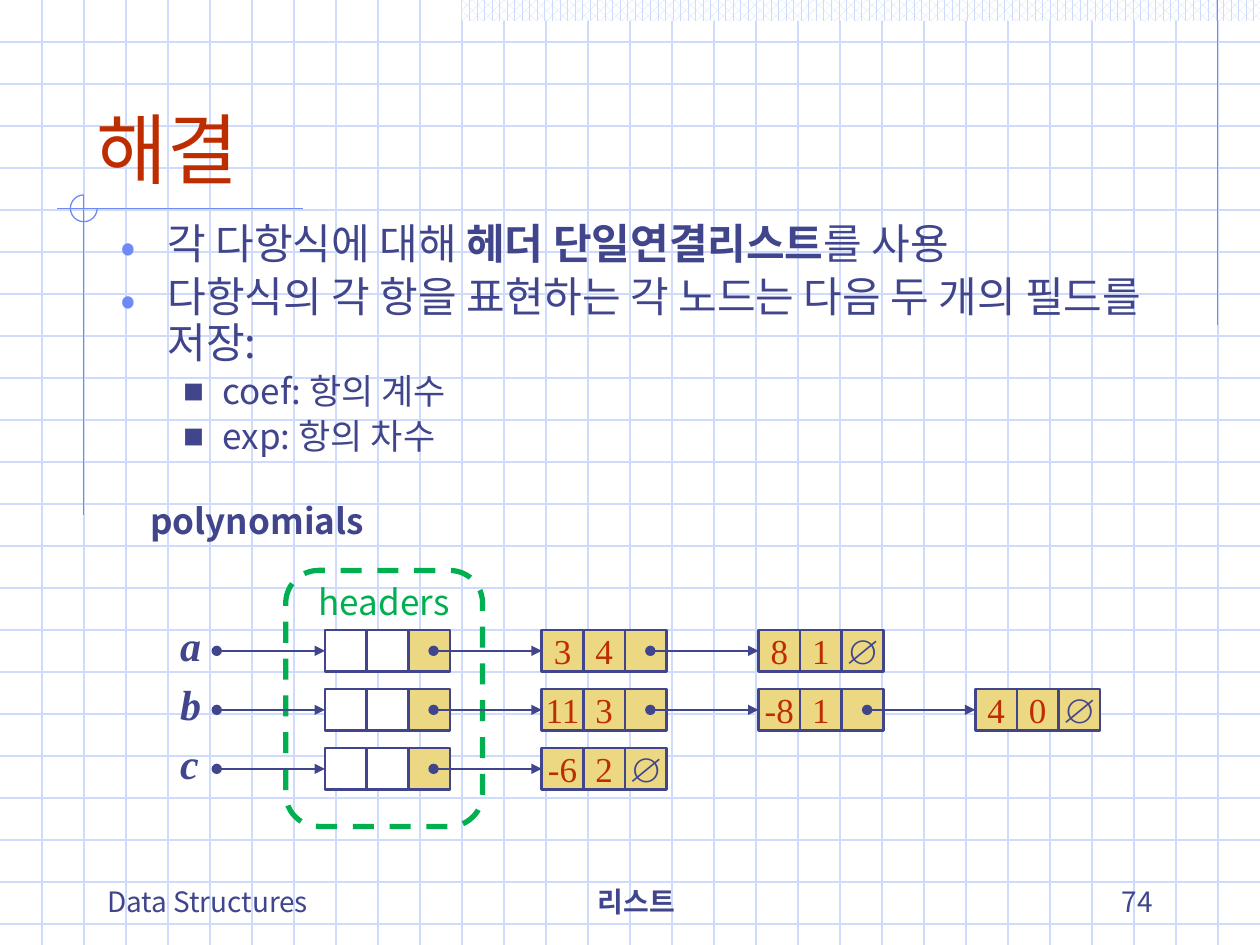
from lxml import etree
from pptx import Presentation
from pptx import util as u
from pptx.dml.color import RGBColor
from pptx.enum import dml, shapes, text
from pptx.oxml import ns

NAVY, RED, GREEN, BLUE = "40458C", "BE2D00", "00B050", "6F89F7"
PALE, SAND, WHITE = "CFDBFD", "ECD882", "FFFFFF"
SANS, SERIF = "Noto Sans CJK KR", "Times New Roman"
WIDTH, HEIGHT = 25.4, 19.05
GRID = WIDTH / 30
CELL, NODE_STEP, ROW_STEP = 0.84, 4.37, 1.19
NODE_LEFT, NODE_TOP, LINK = 6.55, 12.7, 2.18
NULL = "∅"

LISTS = {
    "a": [("3", "4", ""), ("8", "1", NULL)],
    "b": [("11", "3", ""), ("-8", "1", ""), ("4", "0", NULL)],
    "c": [("-6", "2", NULL)],
}
BULLETS = [
    (0, [("각 다항식에 대해 ", False), ("헤더 단일연결리스트", True), ("를 사용", False)]),
    (0, [("다항식의 각 항을 표현하는 각 노드는 다음 두 개의 필드를 저장:", False)]),
    (1, [("coef: 항의 계수", False)]),
    (1, [("exp: 항의 차수", False)]),
]
# Per level: mark, mark colour, mark size %, left, hanging, text size
LEVELS = [("•", BLUE, 110, 0.95, 0.95, 24), ("■", NAVY, 60, 2.06, 0.79, 20)]
ALIGN, ANCHOR = text.PP_ALIGN, text.MSO_ANCHOR


def colour(value):
    return RGBColor.from_string(value)


def add_element(parent, tag, **attributes):
    return etree.SubElement(parent, ns.qn(f"a:{tag}"), attributes)


class Canvas:
    """Holds the slide and the shared style."""

    def __init__(self, slide):
        self.slide = slide

    def style(self, paragraph, size, tint=NAVY, font=SANS, bold=None, italic=None):
        paragraph.font.size = u.Pt(size)
        paragraph.font.color.rgb = colour(tint)
        paragraph.font.bold = bold
        paragraph.font.italic = italic
        paragraph.font.name = font
        add_element(paragraph._p.pPr.find(ns.qn("a:defRPr")), "ea", typeface=font)

    def fill_text(self, shape, words, size, align=ALIGN.LEFT, anchor=ANCHOR.MIDDLE,
                  wrap=False, side=0, edge=0, **style):
        frame = shape.text_frame
        frame.word_wrap = wrap
        frame.vertical_anchor = anchor
        frame.margin_left = frame.margin_right = u.Cm(side)
        frame.margin_top = frame.margin_bottom = u.Cm(edge)
        paragraph = frame.paragraphs[0]
        paragraph.text = words
        paragraph.alignment = align
        self.style(paragraph, size, **style)

    def box(self, left, top, width, height):
        return self.slide.shapes.add_textbox(*map(u.Cm, (left, top, width, height)))

    def label(self, words, left, top, width, height, size, **options):
        settings = {"wrap": True, "side": 0.25, "edge": 0.13, **options}
        self.fill_text(self.box(left, top, width, height), words, size, **settings)

    def bullets(self, items, left, top, width, height):
        frame = self.box(left, top, width, height).text_frame
        frame.word_wrap = True
        for index, (level, runs) in enumerate(items):
            mark, tint, percent, indent, hanging, size = LEVELS[level]
            paragraph = frame.add_paragraph() if index else frame.paragraphs[0]
            paragraph.level = level
            paragraph.line_spacing = 0.9
            if index:
                paragraph.space_before = u.Pt(size * 0.2)
            properties = paragraph._p.get_or_add_pPr()
            properties.set("marL", str(u.Cm(indent)))
            properties.set("indent", str(-u.Cm(hanging)))
            add_element(add_element(properties, "buClr"), "srgbClr", val=tint)
            add_element(properties, "buSzPct", val=str(percent * 1000))
            add_element(properties, "buFont", typeface=SANS)
            add_element(properties, "buChar", char=mark)
            self.style(paragraph, size)
            for words, bold in runs:
                run = paragraph.add_run()
                run.text = words
                if bold:
                    run.font.bold = True

    def shape(self, kind, left, top, width, height, fill=None, line=None, weight=1.5):
        shape = self.slide.shapes.add_shape(kind, *map(u.Cm, (left, top, width, height)))
        shape.shadow.inherit = False
        if fill:
            shape.fill.solid()
            shape.fill.fore_color.rgb = colour(fill)
        else:
            shape.fill.background()
        if line:
            shape.line.color.rgb = colour(line)
            shape.line.width = u.Pt(weight)
        else:
            shape.line.fill.background()
        return shape

    def line(self, x1, y1, x2, y2, tint=BLUE, weight=0.75):
        connector = self.slide.shapes.add_connector(
            shapes.MSO_CONNECTOR.STRAIGHT, *map(u.Cm, (x1, y1, x2, y2)))
        connector.line.color.rgb = colour(tint)
        connector.line.width = u.Pt(weight)
        add_element(connector._element.spPr, "effectLst")
        return connector

    def pointer(self, target, right, middle):
        """Link with a dot at its start, ending at the left side of a cell."""
        connector = self.line(right - LINK, middle, right, middle, NAVY, 1.5)
        connector.end_connect(target, 1)
        line = connector.line._get_or_add_ln()
        add_element(line, "headEnd", type="oval")
        add_element(line, "tailEnd", type="triangle")

    def node(self, left, top, values, fills):
        """Row of three cells; returns the first."""
        cells = []
        for index, (value, fill) in enumerate(zip(values, fills)):
            cell = self.shape(shapes.MSO_SHAPE.RECTANGLE, left + index * CELL, top,
                              CELL, CELL, fill, NAVY)
            if value:
                empty = value == NULL
                self.fill_text(cell, value, 20, ALIGN.CENTER, font=SERIF,
                               tint=NAVY if empty else RED, bold=empty)
            cells.append(cell)
        return cells[0]


def draw_background(canvas):
    for index in range(1, 23):
        canvas.line(0, index * GRID, WIDTH, index * GRID, PALE)
    for index in range(1, 30):
        canvas.line(index * GRID, 0, index * GRID, HEIGHT, PALE)
    band = canvas.shape(shapes.MSO_SHAPE.RECTANGLE, 9.31, 0, 16.09, 0.42)
    band.fill.patterned()
    band.fill.pattern = dml.MSO_PATTERN.PERCENT_60
    band.fill.fore_color.rgb = colour(PALE)
    band.fill.back_color.rgb = colour(WHITE)
    canvas.line(24.55, 0, 24.55, 6.55)
    canvas.line(6.1, 4.21, 1.15, 4.21)
    canvas.line(1.69, 3.93, 1.69, 10.39)
    arc = canvas.shape(shapes.MSO_SHAPE.ARC, 1.42, 3.93, 0.54, 0.54, line=BLUE, weight=0.75)
    arc.adjustments[0] = 0
    arc.adjustments[1] = 162


def draw_lists(canvas):
    links = []
    for row, (name, terms) in enumerate(LISTS.items()):
        top = NODE_TOP + row * ROW_STEP
        canvas.label(name, 3.38, top - 0.2, 1, 1, 24, wrap=False, edge=0,
                     font=SERIF, bold=True, italic=True)
        for column, values in enumerate([("", "", "")] + terms):
            left = NODE_LEFT + column * NODE_STEP
            fills = (SAND,) * 3 if column else (WHITE, WHITE, SAND)
            first = canvas.node(left, top, values, fills)
            links.append((first, left, top + CELL / 2))
    frame = canvas.shape(shapes.MSO_SHAPE.ROUNDED_RECTANGLE, 5.76, 11.5, 3.97, 5.16,
                         line=GREEN, weight=3)
    frame.line.dash_style = dml.MSO_LINE.DASH
    canvas.fill_text(frame, "headers", 20, ALIGN.CENTER, ANCHOR.TOP, side=0.25, tint=GREEN)
    for link in links:
        canvas.pointer(*link)


def main():
    presentation = Presentation()
    presentation.slide_width, presentation.slide_height = u.Cm(WIDTH), u.Cm(HEIGHT)
    canvas = Canvas(presentation.slides.add_slide(presentation.slide_layouts[6]))
    draw_background(canvas)
    for words, left, width, align, bold in (
            ("Data Structures", 1.91, 6.83, ALIGN.LEFT, None),
            ("리스트", 8.93, 7.8, ALIGN.CENTER, True),
            ("74", 18.2, 5.29, ALIGN.RIGHT, None)):
        canvas.label(words, left, 17.36, width, 1.27, 16, align=align,
                     anchor=ANCHOR.BOTTOM, bold=bold)
    canvas.bullets(BULLETS, 2.18, 4.37, 21.8, 5.56)
    canvas.label("polynomials", 2.78, 9.93, 6.93, 1.11, 20, anchor=ANCHOR.TOP, bold=True)
    canvas.label("해결", 1.69, 0.85, 21.59, 3.18, 44, anchor=ANCHOR.BOTTOM, tint=RED)
    draw_lists(canvas)
    presentation.save("out.pptx")


if __name__ == "__main__":
    main()
